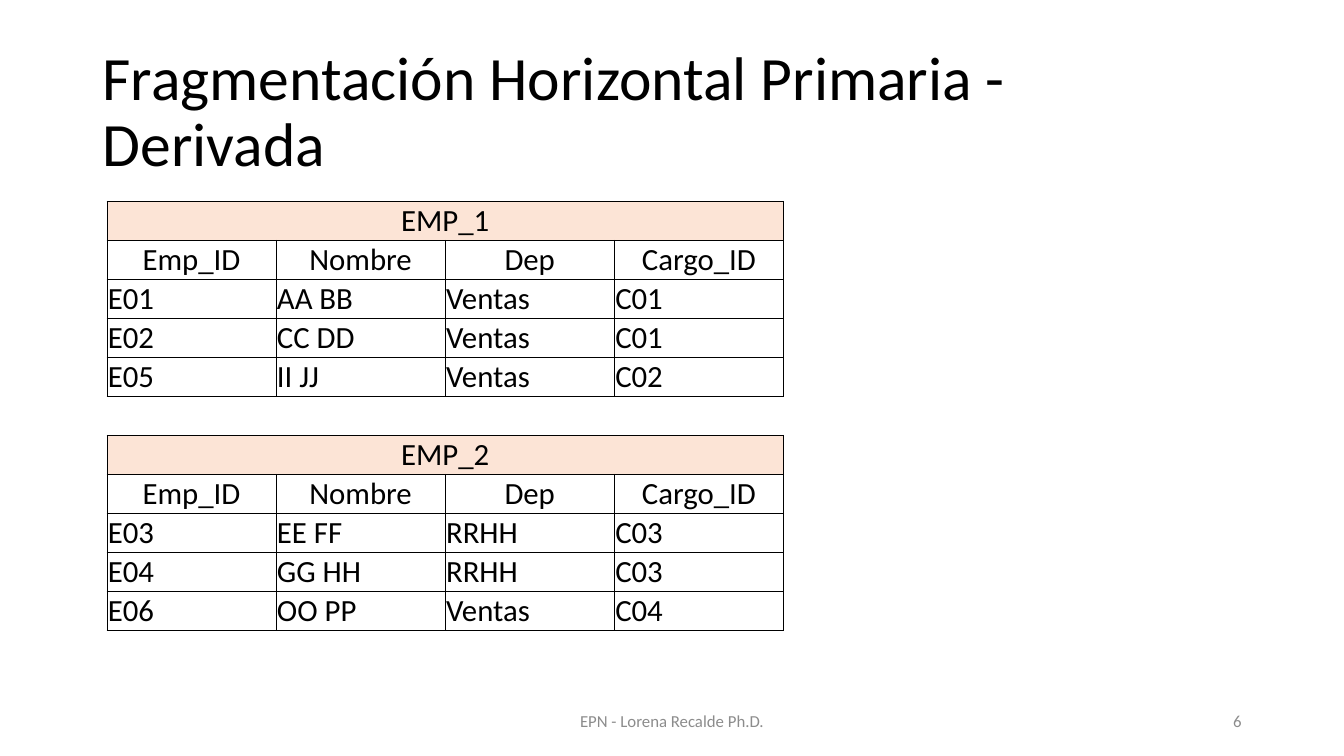
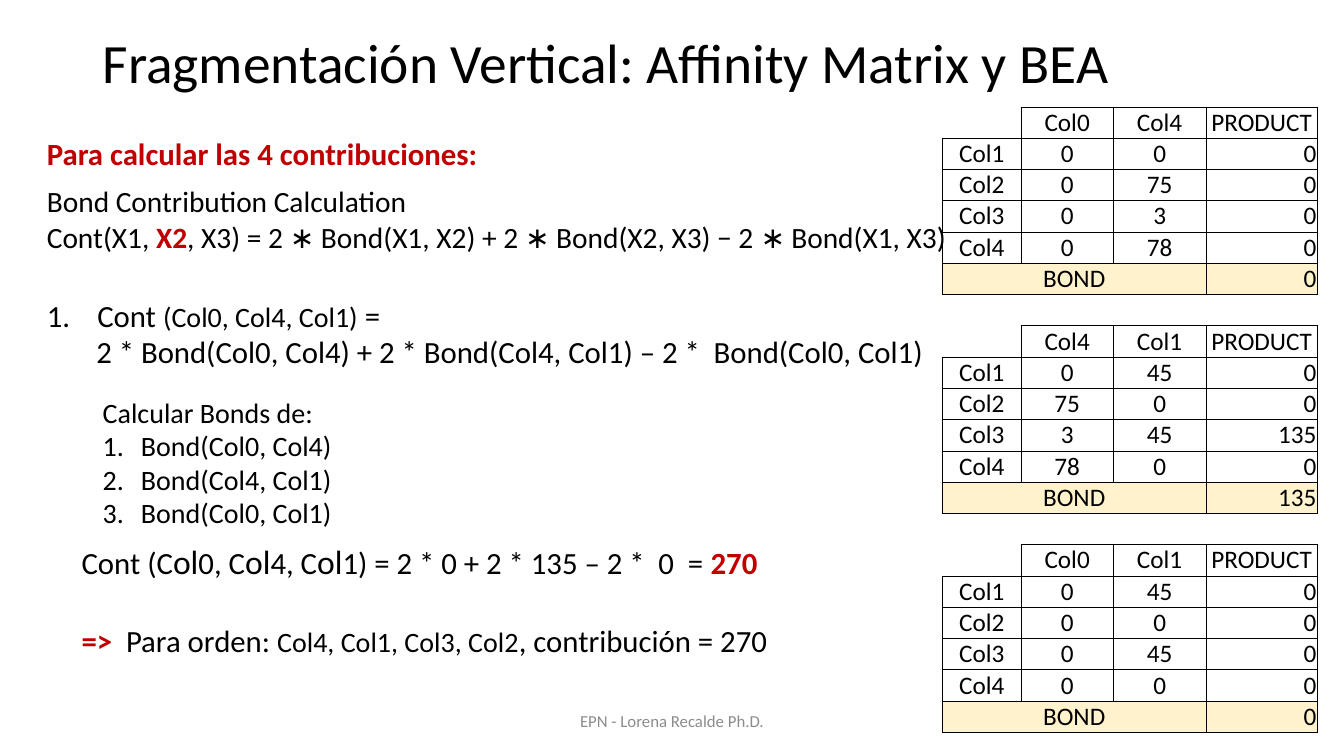
from dataclasses import dataclass

from lxml.etree import SubElement
from pptx import Presentation
from pptx.dml.color import RGBColor
from pptx.enum.text import MSO_ANCHOR as Anchor, PP_ALIGN as Align
from pptx.oxml.ns import qn
from pptx.util import Inches, Pt


@dataclass(frozen=True)
class Theme:
    font: str = "Calibri"
    ink: str = "000000"
    accent: str = "C00000"
    muted: str = "8C8C8C"
    peach: str = "FCE4D6"
    cream: str = "FFF2CC"
    title: float = 44
    title_small: float = 39.6
    large: float = 24
    body: float = 22
    formula: float = 21
    small: float = 20
    cell: float = 18
    footer: float = 12
    border: float = 0.5
    cell_inset: float = 0.01


THEME = Theme()
WIDTH, HEIGHT = Inches(13.33), Inches(7.5)
FOOTER = "EPN - Lorena Recalde Ph.D."
ACCENT = {"color": THEME.accent, "bold": True}
SMALL = {"size": THEME.small}
LARGE = {"size": THEME.large}


def place(left, top, width, height):
    """Turn percentages of the slide into lengths."""
    return (int(WIDTH * left / 100), int(HEIGHT * top / 100),
            int(WIDTH * width / 100), int(HEIGHT * height / 100))


# Text
def add_run(paragraph, text, size=THEME.body, color=THEME.ink, bold=False):
    run = paragraph.add_run()
    run.text = text
    run.font.name = THEME.font
    run.font.size = Pt(size)
    run.font.bold = bold
    run.font.color.rgb = RGBColor.from_string(color)


def set_indent(paragraph, indent, numbered):
    properties = paragraph._p.get_or_add_pPr()
    properties.set("marL", str(Inches(indent)))
    if numbered:
        properties.set("indent", str(-Inches(indent)))
        SubElement(properties, qn("a:buFont"), typeface="+mj-lt")
        SubElement(properties, qn("a:buAutoNum"), type="arabicPeriod")


def add_text(slide, area, *lines, align=Align.LEFT, anchor=Anchor.TOP,
             spacing=None, indents=(), **style):
    """Each line is a string or a list of (text, format) runs;
    indents gives an (inches, numbered) pair for each line."""
    frame = slide.shapes.add_textbox(*place(*area)).text_frame
    frame.word_wrap = True
    frame.vertical_anchor = anchor
    for index, line in enumerate(lines):
        paragraph = frame.add_paragraph() if index else frame.paragraphs[0]
        paragraph.alignment = align
        if spacing:
            paragraph.line_spacing = spacing
        if indents and indents[index]:
            set_indent(paragraph, *indents[index])
        runs = [(line, {})] if isinstance(line, str) else line
        for text, changes in runs:
            add_run(paragraph, text, **{**style, **changes})


# Tables: "" is an empty cell without its own border, None continues a span
def set_borders(cell, sides):
    properties = cell._tc.get_or_add_tcPr()
    for position, (name, visible) in enumerate(sides.items()):
        line = properties.makeelement(qn(f"a:{name}"), {"w": str(Pt(THEME.border))})
        if visible:
            fill = SubElement(line, qn("a:solidFill"))
            SubElement(fill, qn("a:srgbClr"), val=THEME.ink)
        else:
            SubElement(line, qn("a:noFill"))
        properties.insert(position, line)


def add_grid(slide, area, rows, weights, size, align_of, fill_of):
    count, columns = len(rows), len(weights)
    left, top, width, height = place(*area)
    table = slide.shapes.add_table(count, columns, left, top, width, height).table
    table.first_row = table.horz_banding = False
    for column, weight in zip(table.columns, weights):
        column.width = int(width * weight / sum(weights))
    for row in table.rows:
        row.height = height // count

    def is_used(r, c):
        return 0 <= r < count and 0 <= c < columns and rows[r][c] != ""

    for r, values in enumerate(rows):
        for c, value in enumerate(values):
            cell = table.cell(r, c)
            cell.margin_left = cell.margin_right = Inches(THEME.cell_inset)
            cell.margin_top = cell.margin_bottom = 0
            cell.vertical_anchor = Anchor.MIDDLE
            fill = fill_of(values)
            if fill:
                cell.fill.solid()
                cell.fill.fore_color.rgb = RGBColor.from_string(fill)
            else:
                cell.fill.background()
            neighbours = {"lnL": (r, c - 1), "lnR": (r, c + 1),
                          "lnT": (r - 1, c), "lnB": (r + 1, c)}
            set_borders(cell, {name: is_used(r, c) or is_used(*other)
                               for name, other in neighbours.items()})
            if value not in ("", None):
                paragraph = cell.text_frame.paragraphs[0]
                paragraph.alignment = align_of(values, c)
                add_run(paragraph, str(value), size)
        span = values.count(None)
        if span:
            table.cell(r, 0).merge(table.cell(r, span))


# Parts shared by the slides
def add_slide(presentation, title, height, size, number=None):
    slide = presentation.slides.add_slide(presentation.slide_layouts[6])
    add_text(slide, (6.9, 5.33, 86.25, height), title, size=size,
             anchor=Anchor.MIDDLE, spacing=0.9)
    footer = {"size": THEME.footer, "color": THEME.muted, "anchor": Anchor.MIDDLE}
    add_text(slide, (33.13, 92.67, 33.75, 5.33), FOOTER, align=Align.CENTER, **footer)
    if number:
        add_text(slide, (70.63, 92.67, 22.5, 5.33), number, align=Align.RIGHT, **footer)
    return slide


# Slide with the horizontal fragments
def build_horizontal(presentation):
    slide = add_slide(presentation, "Fragmentación Horizontal Primaria - Derivada",
                      19.33, THEME.title, number="6")
    header = ["Emp_ID", "Nombre", "Dep", "Cargo_ID"]
    rows = [
        ["EMP_1", None, None, None],
        header,
        ["E01", "AA BB", "Ventas", "C01"],
        ["E02", "CC DD", "Ventas", "C01"],
        ["E05", "II JJ", "Ventas", "C02"],
        [""] * 4,
        ["EMP_2", None, None, None],
        header,
        ["E03", "EE FF", "RRHH", "C03"],
        ["E04", "GG HH", "RRHH", "C03"],
        ["E06", "OO PP", "Ventas", "C04"],
    ]
    add_grid(slide, (7.95, 26.6, 50.35, 56.8), rows, [1] * 4, THEME.body,
             lambda values, c: Align.CENTER if None in values or values is header
             else Align.LEFT,
             lambda values: THEME.peach if None in values else None)


# Slide with the bond calculation
def bond_rows(first, second):
    affinity = {"Col0": (0, 0, 0, 0), "Col1": (45, 0, 45, 0), "Col4": (0, 75, 3, 78)}
    pairs = list(zip(affinity[first], affinity[second]))
    rows = [["", first, second, "PRODUCT"]]
    rows += [[f"Col{i}", a, b, a * b] for i, (a, b) in enumerate(pairs, 1)]
    return rows + [["BOND", None, None, sum(a * b for a, b in pairs)]]


def build_vertical(presentation):
    slide = add_slide(presentation, "Fragmentación Vertical: Affinity Matrix y BEA",
                      6.8, THEME.title_small)
    add_text(slide, (2.75, 23.6, 79.13, 10.8),
             "Bond Contribution Calculation",
             [("Cont(X1, ", {}), ("X2", ACCENT),
              (", X3) = 2 ∗ Bond(X1, X2) + 2 ∗ Bond(X2, X3) − 2 ∗ Bond(X1, X3)", {})],
             size=THEME.formula)
    add_text(slide, (2.75, 17.2, 41.33, 6.27),
             "Para calcular las 4 contribuciones:", **ACCENT)
    bonds = [("Col0", "Col4"), ("Col4", "Col1"), ("Col0", "Col1")]
    add_text(slide, (6.9, 51.6, 18.7, 19.33), "Calcular Bonds de:",
             *[f"Bond({first}, {second})" for first, second in bonds],
             indents=[None] + [(0.38, True)] * 3, **SMALL)
    add_text(slide, (2.75, 38.53, 69.5, 11.2),
             [("Cont ", {}), ("(Col0, Col4, Col1)", SMALL), (" =", {})],
             "2 * Bond(Col0, Col4) + 2 * Bond(Col4, Col1) – 2 *  Bond(Col0, Col1)",
             indents=[(0.5, True), (0.49, False)])
    add_text(slide, (5.33, 70.93, 62.25, 6.67),
             [("Cont (C", {}), ("ol", LARGE), ("0, C", {}), ("ol", LARGE),
              ("4, C", {}), ("ol", LARGE),
              ("1) = 2 * 0 + 2 * 135 – 2 *  0  = ", {}), ("270", ACCENT)])
    add_text(slide, (5.33, 81.6, 52.95, 6.27),
             [("=>", ACCENT), ("  Para orden: ", {}),
              ("Col4, Col1, Col3, Col2", SMALL), (", contribución = 270", {})])

    rows = []
    for pair in bonds:
        rows += ([[""] * 4] if rows else []) + bond_rows(*pair)
    add_grid(slide, (70.13, 14.13, 27.9, 82.8), rows, [0.78, 0.92, 0.92, 1.11],
             THEME.cell,
             lambda values, c: Align.RIGHT if c == 3 and values[0] else Align.CENTER,
             lambda values: THEME.cream if None in values else None)


def main():
    presentation = Presentation()
    presentation.slide_width, presentation.slide_height = WIDTH, HEIGHT
    build_horizontal(presentation)
    build_vertical(presentation)
    presentation.save("out.pptx")


main()
